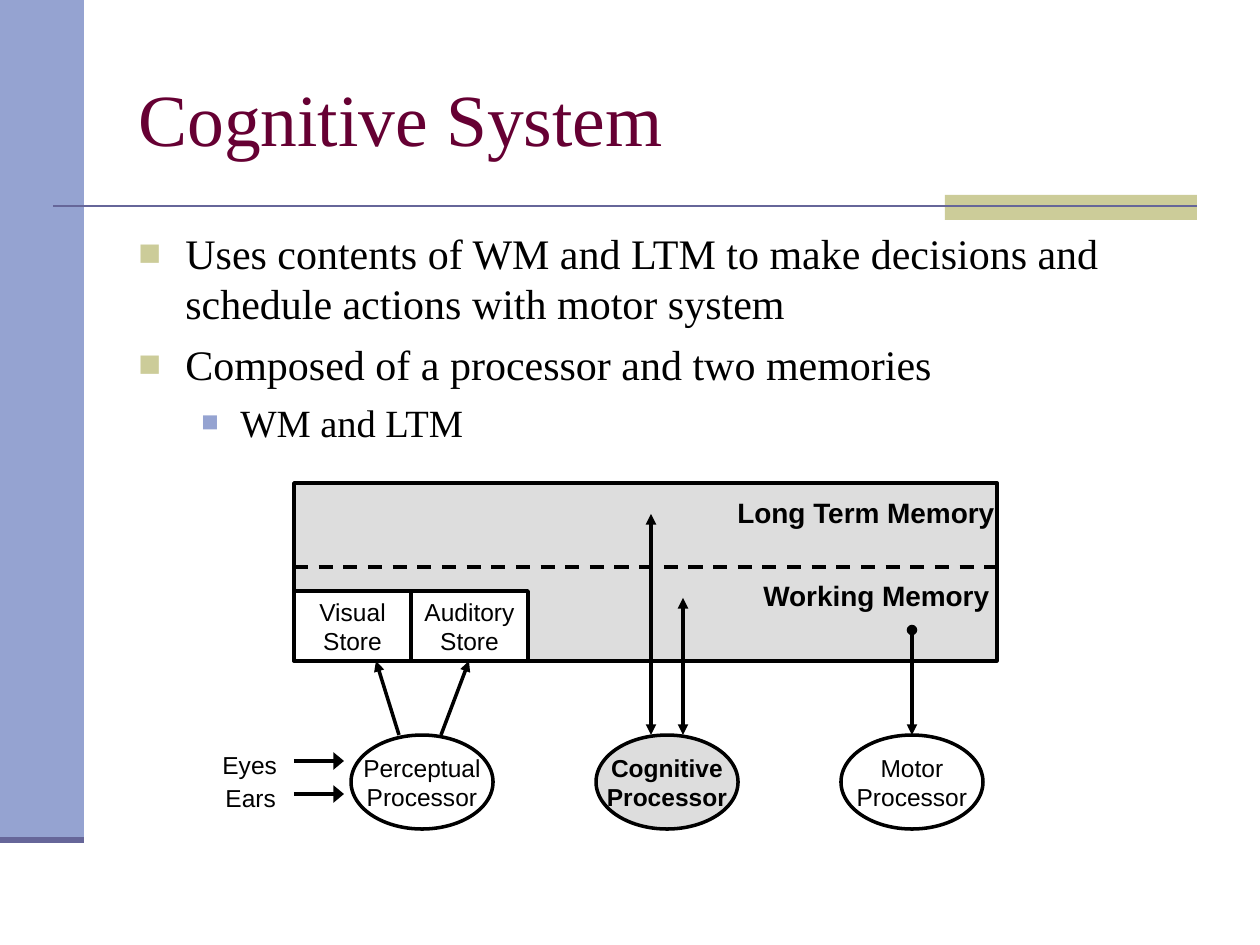
from copy import deepcopy
from pptx import Presentation, util as u
from pptx.dml.color import RGBColor
from pptx.enum import dml, shapes, text
from pptx.oxml import ns
from lxml import etree

PX = 914400 / 126
BLACK, GREY, WHITE = "000000", "DDDDDD", "FFFFFF"
BLUE, SAND, SLATE, WINE = "95A3D1", "CCCC99", "666699", "660033"
SERIF, SANS = "Times New Roman", "Arial"


def px(*vals):
    return [u.Emu(round(v * PX)) for v in vals]


def color(code):
    return RGBColor.from_string(code)


def sub(parent, tag, **attrs):
    return etree.SubElement(parent, ns.qn("a:" + tag), **attrs)


def write(para, words, size=14, font=SANS, ink=BLACK, bold=False, align=None):
    para.text = words
    if align:
        para.alignment = align
    for run in para.runs:
        run.font.size = u.Pt(size)
        run.font.name = font
        run.font.bold = bold
        run.font.color.rgb = color(ink)
    # Line breaks take the format of the text around them
    for gap in para._p.findall(ns.qn("a:br")):
        gap.insert(0, deepcopy(para.runs[0]._r.rPr))


def label(slide, box, words, wrap=False, anchor=text.MSO_ANCHOR.TOP, **style):
    frame = slide.shapes.add_textbox(*px(*box)).text_frame
    frame.word_wrap = wrap
    frame.vertical_anchor = anchor
    write(frame.paragraphs[0], words, **style)


def bullet(para, words, size, indent, hang, tint, scale, before):
    props = para._p.get_or_add_pPr()
    left, back = px(indent, -hang)
    props.set("marL", str(left))
    props.set("indent", str(back))
    sub(sub(props, "buClr"), "srgbClr", val=tint)
    sub(props, "buSzPct", val=str(scale * 1000))
    sub(props, "buFont", typeface=SANS)
    sub(props, "buChar", char="■")
    para.space_before = u.Pt(before)
    write(para, words, size=size, font=SERIF)


def block(slide, kind, box, fill=None, edge=None, words="", **style):
    shape = slide.shapes.add_shape(kind, *px(*box))
    shape.shadow.inherit = False
    if fill:
        shape.fill.solid()
        shape.fill.fore_color.rgb = color(fill)
    else:
        shape.fill.background()
    if edge:
        shape.line.color.rgb = color(edge)
        shape.line.width = u.Pt(2)
    else:
        shape.line.fill.background()
    if words:
        frame = shape.text_frame
        frame.word_wrap = False
        frame.vertical_anchor = text.MSO_ANCHOR.MIDDLE
        write(frame.paragraphs[0], words, align=text.PP_ALIGN.CENTER, **style)


def line(slide, ends, ink=BLACK, width=2, head=None, tail=None, wide="med", dash=False):
    link = slide.shapes.add_connector(shapes.MSO_CONNECTOR.STRAIGHT, *px(*ends))
    link.line.color.rgb = color(ink)
    link.line.width = u.Pt(width)
    if dash:
        link.line.dash_style = dml.MSO_LINE.DASH
    for tag, kind in (("headEnd", head), ("tailEnd", tail)):
        if kind:
            sub(link.line._get_or_add_ln(), tag, type=kind, w=wide, len="med")
    sub(link._element.spPr, "effectLst")


def frame_art(slide):
    rect = shapes.MSO_SHAPE.RECTANGLE
    block(slide, rect, (0, 0, 84, 840), BLUE)
    block(slide, rect, (945, 195, 252, 25), SAND)
    line(slide, (53, 206, 1197, 206), SLATE, 1.5)
    line(slide, (0, 840, 84, 840), SLATE, 3.5)


def outline(slide):
    frame = slide.shapes.add_textbox(*px(126, 221, 1071, 624)).text_frame
    frame.word_wrap = True
    top = dict(size=24, indent=47, hang=47, tint=SAND, scale=90)
    low = dict(size=22, indent=102, hang=39, tint=BLUE, scale=75)
    items = [
        ("Uses contents of WM and LTM to make decisions and "
         "schedule actions with motor system", top, 0),
        ("Composed of a processor and two memories", top, 6),
        ("WM and LTM", low, 5.5),
    ]
    for i, (words, style, before) in enumerate(items):
        para = frame.add_paragraph() if i else frame.paragraphs[0]
        bullet(para, words, before=before, **style)


def diagram(slide):
    rect, oval = shapes.MSO_SHAPE.RECTANGLE, shapes.MSO_SHAPE.OVAL
    # Memories
    block(slide, rect, (294, 483, 703, 178), GREY, BLACK)
    label(slide, (725, 489, 284, 47), "Long Term Memory", size=16, bold=True)
    label(slide, (751, 572, 252, 47), "Working Memory", size=16, bold=True)
    # Processors
    cells = [("Perceptual", None), ("Cognitive", GREY), ("Motor", None)]
    for i, (name, fill) in enumerate(cells):
        block(slide, oval, (351 + 245 * i, 735, 142, 94), fill, BLACK,
              name + "\nProcessor", bold=bool(fill))
    # Flows between processors and memories
    for ends, head, tail in [
        ((399, 735, 376, 661), None, "triangle"),
        ((441, 735, 469, 661), None, "triangle"),
        ((683, 735, 683, 598), "triangle", "triangle"),
        ((651, 735, 651, 514), "triangle", "triangle"),
        ((912, 735, 912, 630), "triangle", "oval"),
    ]:
        line(slide, ends, head=head, tail=tail)
    # Senses
    for name, x, y in [("Eyes", 210, 744), ("Ears", 213, 777)]:
        label(slide, (x, y, 82, 43), name)
        line(slide, (294, y + 17, 344, y + 17), tail="triangle", wide="lg")
    # Split of the memories, then the sensory stores
    line(slide, (294, 567, 997, 567), dash=True)
    for i, name in enumerate(["Visual", "Auditory"]):
        block(slide, rect, (294 + 117 * i, 591, 117, 70), WHITE, BLACK, name + "\nStore")


def main():
    deck = Presentation()
    deck.slide_width, deck.slide_height = px(1260, 945)
    slide = deck.slides.add_slide(deck.slide_layouts[6])
    frame_art(slide)
    label(slide, (126, 38, 1071, 158), "Cognitive System", wrap=True,
          anchor=text.MSO_ANCHOR.MIDDLE, size=42, font=SERIF, ink=WINE)
    outline(slide)
    diagram(slide)
    deck.save("out.pptx")


if __name__ == "__main__":
    main()
